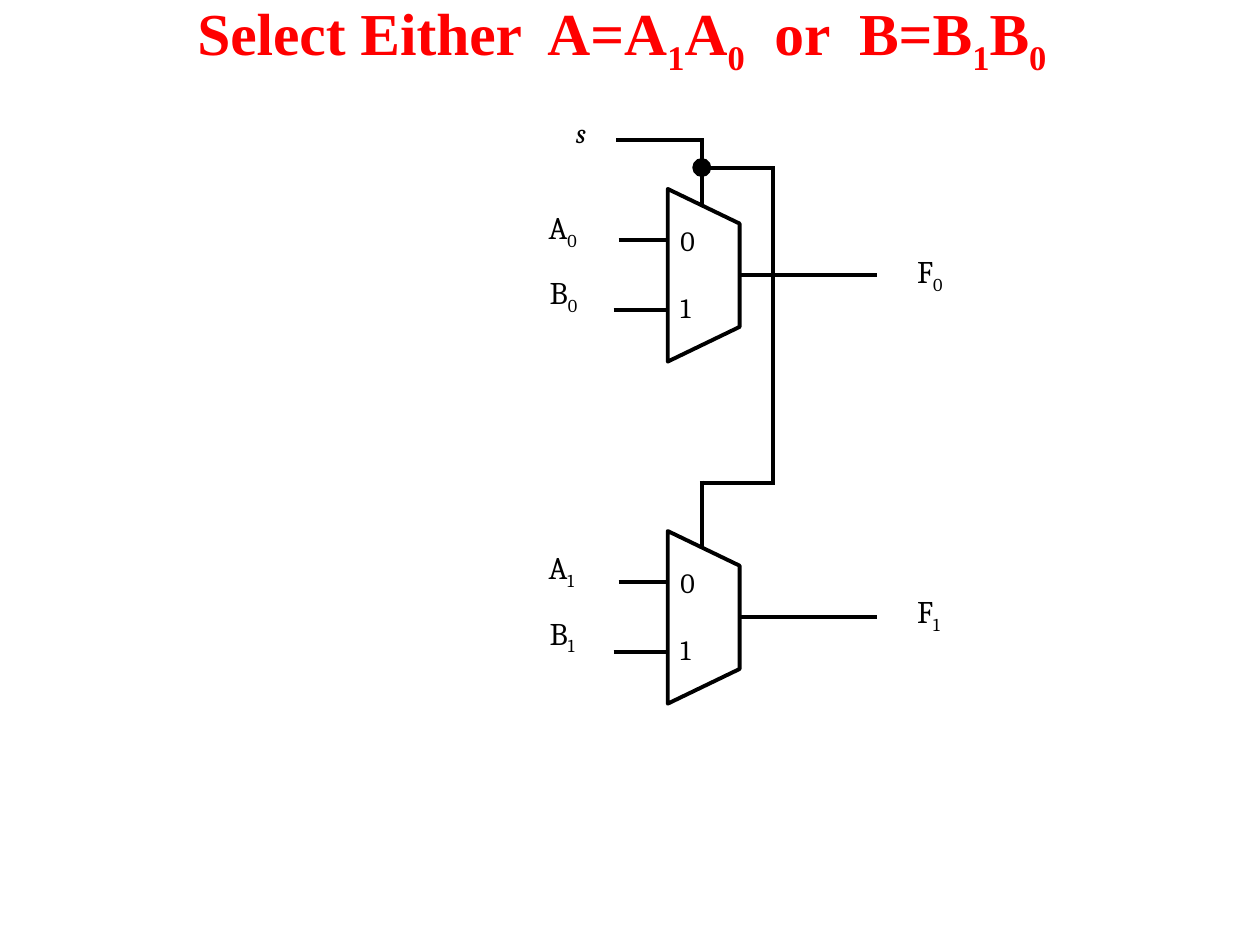
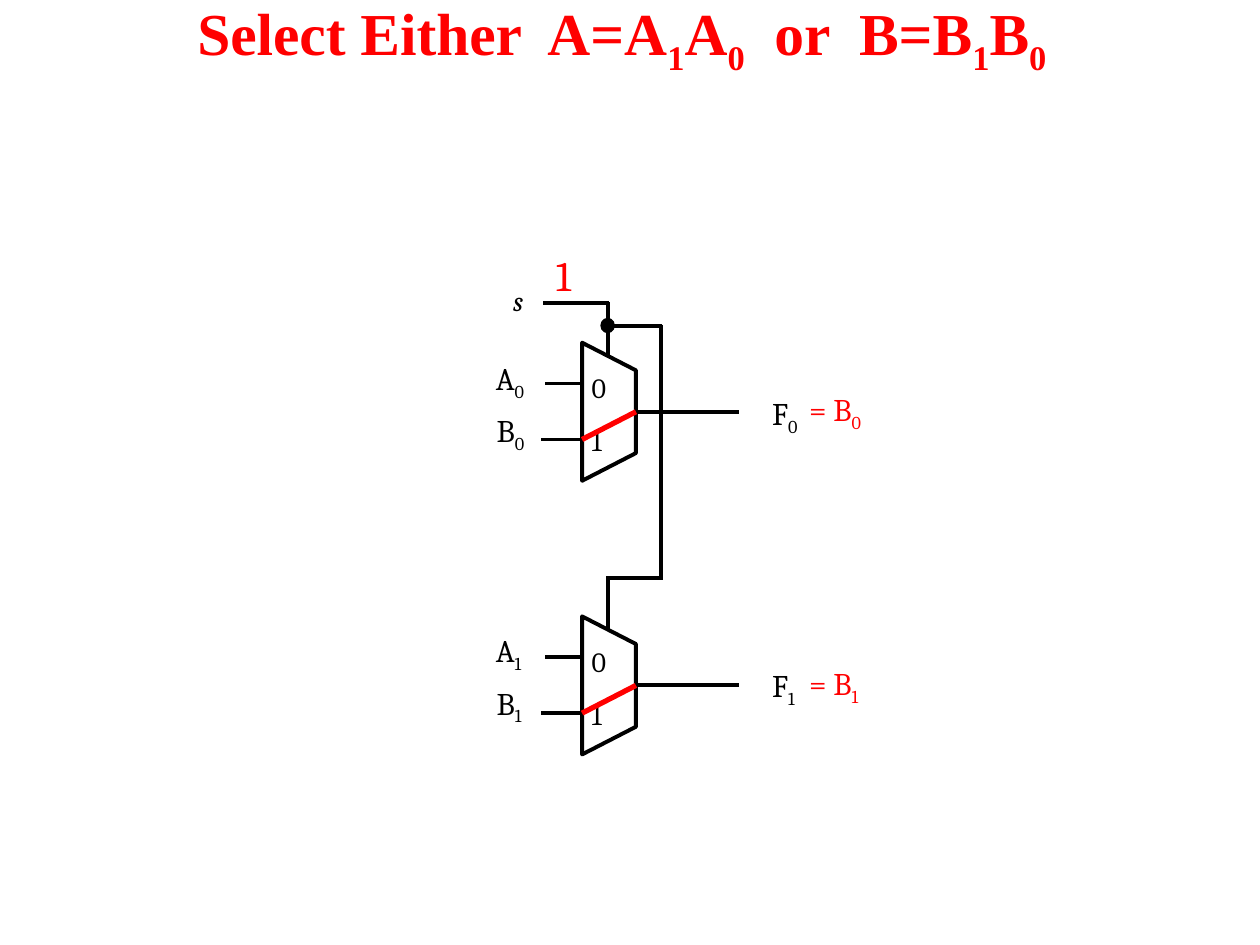
import pptx
import pptx.dml.color
import pptx.enum.shapes
import pptx.enum.text
import pptx.oxml.ns
import pptx.util
from lxml import etree

BLACK, RED = "000000", "FF0000"
TITLE = "Select Either  A=A_1A_0  or  B=B_1B_0 "
MUX_W, MUX_H, MUX_SLANT = 5.7, 13.7, 2.75
MUX_PITCH, LABEL_PITCH = 27.15, 27
A_ROW, B_ROW, OUT_ROW = 4.05, 9.6, 6.85
SELECT_COL, BRANCH_COL = 2.7, 8.35
SELECT_ROW, BRANCH_ROW, LOWER_ROW = -3.9, -1.65, 23.35
JOIN = 0.15  # overlap that closes the corners of joined wires


def rgb(color):
    return pptx.dml.color.RGBColor.from_string(color)


class Diagram:
    """A slide with a grid whose origin is the top left of the upper multiplexer."""

    def __init__(self, prs, origin, cell):
        self.prs = prs
        self.slide = prs.slides.add_slide(prs.slide_layouts[6])
        self.origin, self.cell = origin, cell
        self.font, self.title_font = "Cambria", "Times New Roman"

    def point(self, col, row):
        return [pptx.util.Inches(start + n * size) for start, n, size
                in zip(self.origin, (col, row), self.cell)]

    def box(self, col, row, cols, rows):
        left, top = self.point(col, row)
        right, bottom = self.point(col + cols, row + rows)
        return left, top, right - left, bottom - top

    def add_runs(self, tf, text, size, color, font, bold=False, italic=False):
        """Add the text run by run; the character after each _ is a subscript."""
        p = tf.paragraphs[0]
        first, *others = text.split("_")
        pieces = [(first, False)]
        for part in others:
            pieces += [(part[0], True), (part[1:], False)]
        for piece, lowered in pieces:
            if not piece:
                continue
            r = p.add_run()
            r.text = piece
            r.font.name, r.font.size = font, pptx.util.Pt(size)
            r.font.bold, r.font.italic = bold, italic
            r.font.color.rgb = rgb(color)
            if lowered:
                r.font._element.set("baseline", "-25000")
        return p

    def title(self, text):
        w, h = self.prs.slide_width, self.prs.slide_height
        sp = self.slide.shapes.add_textbox(
            int(0.008 * w), int(0.01 * h), int(0.983 * w), int(0.057 * h))
        tf = sp.text_frame
        tf.word_wrap = True
        tf.vertical_anchor = pptx.enum.text.MSO_ANCHOR.MIDDLE
        p = self.add_runs(tf, text, 34, RED, self.title_font, bold=True)
        p.alignment = pptx.enum.text.PP_ALIGN.CENTER

    def label(self, text, box, size=18, color=BLACK, italic=False, inset=True):
        tf = self.slide.shapes.add_textbox(*self.box(*box)).text_frame
        tf.word_wrap = False
        tf.auto_size = pptx.enum.text.MSO_AUTO_SIZE.SHAPE_TO_FIT_TEXT
        if not inset:
            tf.margin_left = tf.margin_right = tf.margin_top = tf.margin_bottom = 0
        self.add_runs(tf, text, size, color, self.font, italic=italic)

    def wire(self, start, end, color=BLACK, width=2.25):
        line = self.slide.shapes.add_connector(
            pptx.enum.shapes.MSO_CONNECTOR.STRAIGHT,
            *self.point(*start), *self.point(*end))
        line.line.color.rgb = rgb(color)
        line.line.width = pptx.util.Pt(width)
        etree.SubElement(line._element.spPr, pptx.oxml.ns.qn("a:effectLst"))

    def outline(self, points):
        first, *others = [self.point(*xy) for xy in points]
        builder = self.slide.shapes.build_freeform(*first, scale=1.0)
        builder.add_line_segments(others, close=True)
        sp = builder.convert_to_shape()
        sp.shadow.inherit = False
        sp.fill.background()
        sp.line.color.rgb = rgb(BLACK)
        sp.line.width = pptx.util.Pt(2.25)

    def dot(self, col, row, size):
        sp = self.slide.shapes.add_shape(
            pptx.enum.shapes.MSO_SHAPE.OVAL,
            *self.box(col - size / 2, row - size / 2, size, size))
        sp.shadow.inherit = False
        sp.fill.solid()
        sp.fill.fore_color.rgb = sp.line.color.rgb = rgb(BLACK)
        sp.line.width = pptx.util.Pt(0.75)

    def mux(self, bit):
        top, label_top = bit * MUX_PITCH, bit * LABEL_PITCH
        self.wire((-3.9, top + A_ROW), (0, top + A_ROW))
        self.wire((-4.3, top + B_ROW), (0, top + B_ROW))
        self.wire((16.6, top + OUT_ROW), (MUX_W, top + OUT_ROW))
        self.outline([(MUX_W, top + MUX_H - MUX_SLANT), (MUX_W, top + MUX_SLANT),
                      (0, top), (0, top + MUX_H)])
        self.wire((SELECT_COL, top - 4), (SELECT_COL, top + 1.3))
        for name, row in (("0", 2.75), ("1", 8.05)):
            self.label(name, (1, top + row, 2.2, 3.3), size=16, inset=False)
        for name, col, row, cols in (("F", 18.8, 4.5, 5.7), ("A", -10.45, 1, 6.2),
                                     ("B", -10.35, 6.2, 6)):
            self.label(f"{name}_{bit}", (col, label_top + row, cols, 5.1))

    def selector(self):
        """Draw the select input and the branch that takes it to the lower mux."""
        self.label("s", (-7.3, -5.85, 1.9, 3.3), size=16, italic=True, inset=False)
        self.wire((-4.1, SELECT_ROW), (SELECT_COL + JOIN, SELECT_ROW))
        for row in (BRANCH_ROW, LOWER_ROW):
            self.wire((SELECT_COL - JOIN, row), (BRANCH_COL + JOIN, row))
        self.wire((BRANCH_COL, BRANCH_ROW - JOIN), (BRANCH_COL, LOWER_ROW + JOIN))
        self.dot(SELECT_COL, BRANCH_ROW - 0.05, 1.4)

    def circuit(self):
        self.title(TITLE)
        for bit in (0, 1):
            self.mux(bit)
        self.selector()

    def select_b(self):
        """Mark the paths and results for a select input of 1."""
        self.label("1", (-4.1, -9.9, 4.9, 6.4), size=24, color=RED)
        for bit in (0, 1):
            top = bit * MUX_PITCH
            self.wire((0, top + B_ROW), (MUX_W, top + OUT_ROW), RED, 3)
            self.label(f"= B_{bit}", (22.7, top + 4.1, 8.7, 5), color=RED)


def main():
    prs = pptx.Presentation()
    prs.slide_width, prs.slide_height = pptx.util.Inches(10), pptx.util.Inches(7.5)
    Diagram(prs, origin=(5.3, 1.5), cell=(0.1, 0.1)).circuit()
    selected = Diagram(prs, origin=(4.62, 2.72), cell=(0.075, 0.08))
    selected.circuit()
    selected.select_b()
    prs.save("out.pptx")


if __name__ == "__main__":
    main()
